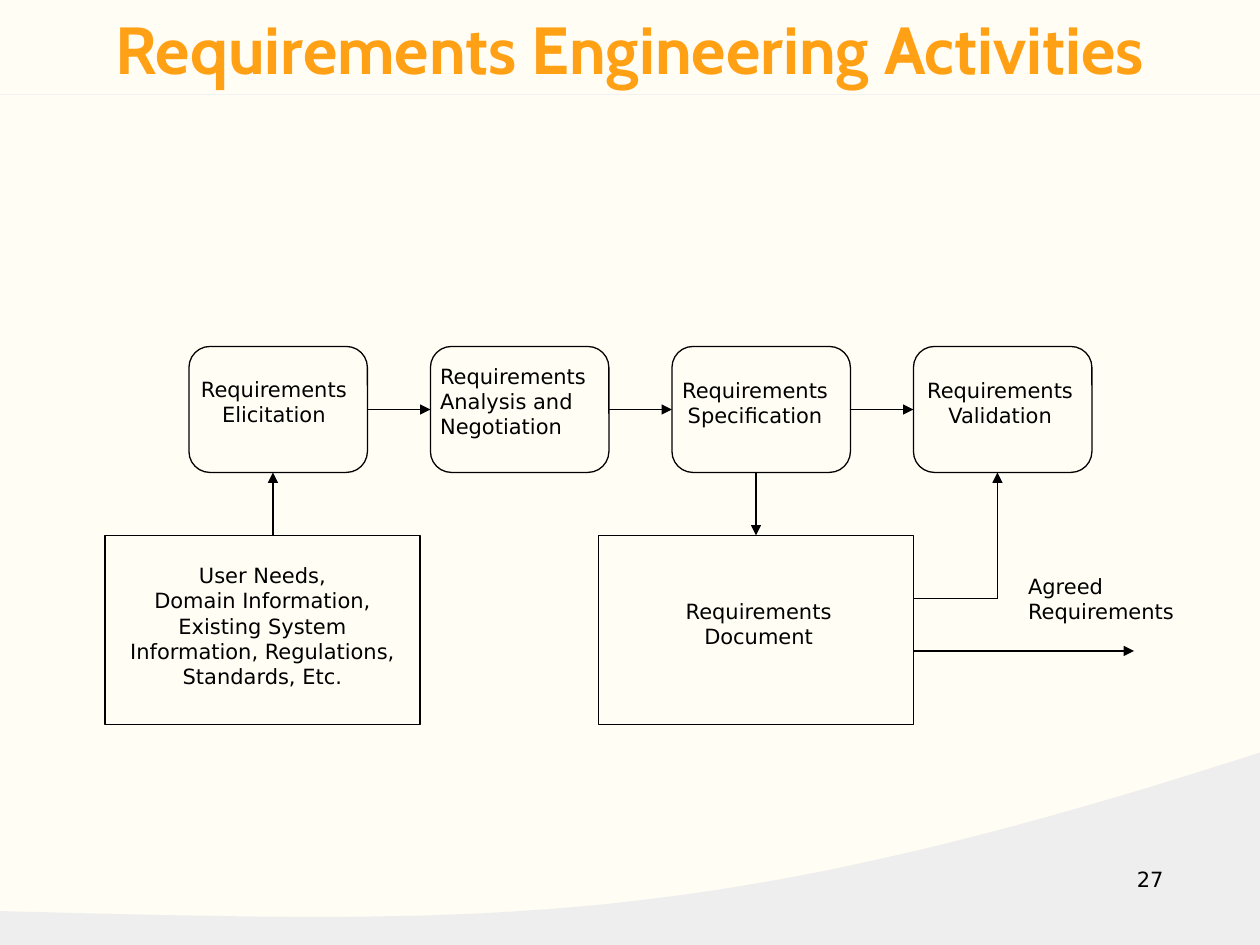
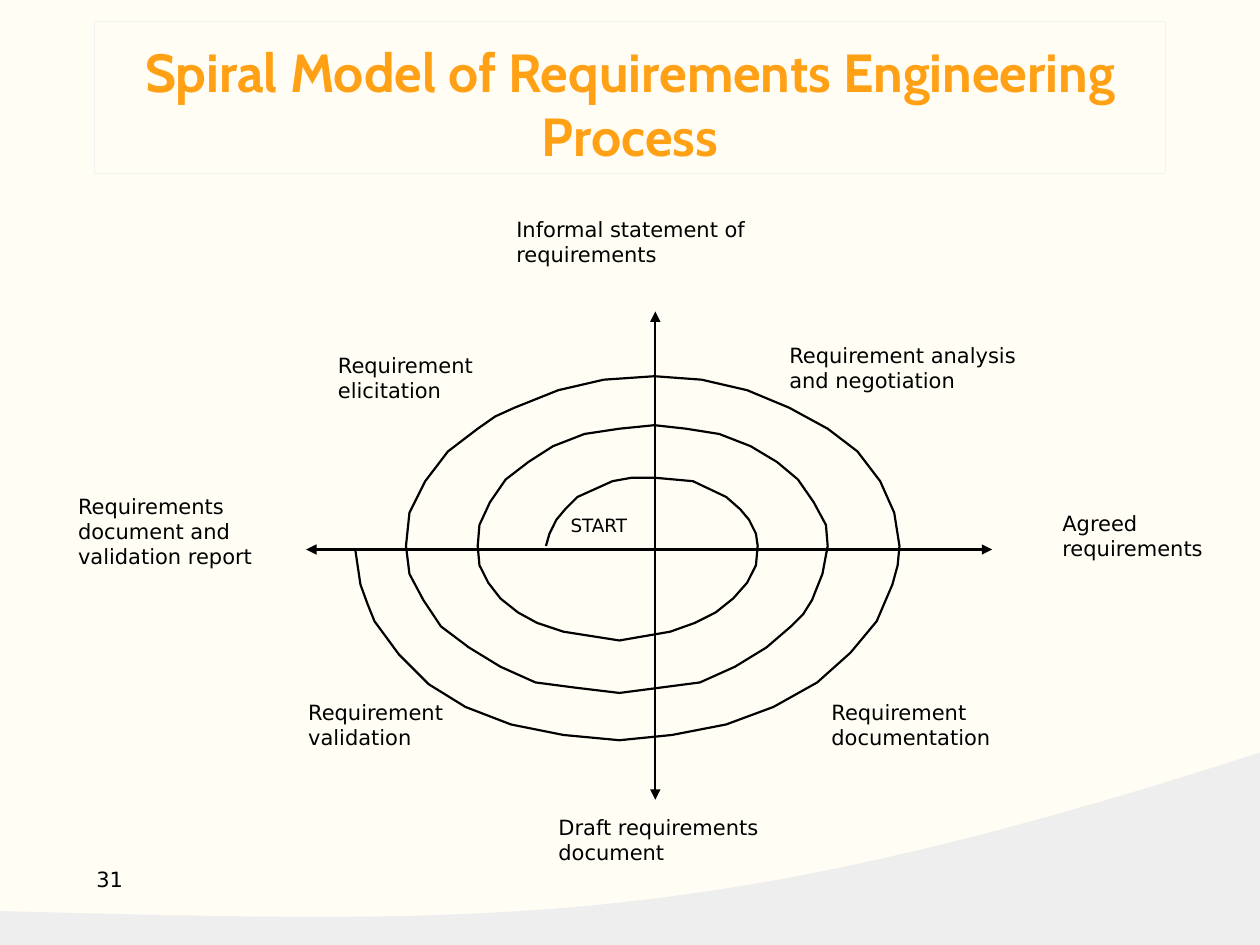
"""Build two slides on requirements engineering: its activities and its spiral model."""

from dataclasses import dataclass

from lxml.etree import SubElement
from pptx import Presentation
from pptx.dml.color import RGBColor as Color
from pptx.enum.shapes import MSO_CONNECTOR as Connector, MSO_SHAPE as Preset
from pptx.enum.text import MSO_ANCHOR as Anchor, PP_ALIGN as Align
from pptx.oxml.ns import qn
from pptx.util import Pt


@dataclass(frozen=True)
class Theme:
    background: Color = Color(0xFF, 0xFD, 0xF4)
    wave: Color = Color(0xEE, 0xEE, 0xEE)
    frame: Color = Color(0xF2, 0xF2, 0xF2)
    title: Color = Color(0xFF, 0xA0, 0x15)
    ink: Color = Color(0, 0, 0)
    title_font: str = "Cabin"
    body_font: str = "DejaVu Sans"
    body_size: float = 12
    start_size: float = 10.5
    frame_width: float = 0.5
    thin: float = 0.75
    medium: float = 1
    thick: float = 1.25


theme = Theme()


def write(slide, text, left, top, width, height, *, size=theme.body_size,
          font=theme.body_font, color=theme.ink, bold=False, align=Align.LEFT,
          anchor=Anchor.TOP, wrap=False, inset=7.2):
    """Add a text box with one paragraph for each line of text."""
    box = slide.shapes.add_textbox(Pt(left), Pt(top), Pt(width), Pt(height))
    frame = box.text_frame
    frame.word_wrap = wrap
    frame.vertical_anchor = anchor
    frame.margin_left = frame.margin_right = Pt(inset)
    frame.margin_top = frame.margin_bottom = Pt(3.6)
    for index, line in enumerate(text.split("\n")):
        paragraph = frame.paragraphs[0] if index == 0 else frame.add_paragraph()
        paragraph.alignment = align
        run = paragraph.add_run()
        run.text = line
        run.font.name = font
        run.font.size = Pt(size)
        run.font.bold = bold
        run.font.color.rgb = color
    return box


def connect(slide, start, end, width=theme.thin, heads=("tailEnd",)):
    """Add a straight line with triangles at the named ends."""
    line = slide.shapes.add_connector(
        Connector.STRAIGHT, *(Pt(value) for value in (*start, *end)))
    line.line.color.rgb = theme.ink
    line.line.width = Pt(width)
    properties = line.element.spPr
    outline = properties.find(qn("a:ln"))
    for head in heads:
        SubElement(outline, qn(f"a:{head}"), type="triangle")
    SubElement(properties, qn("a:effectLst"))
    return line


presentation = Presentation()
presentation.slide_width = Pt(720)
presentation.slide_height = Pt(540)
master = presentation.slide_master
master.background.fill.solid()
master.background.fill.fore_color.rgb = theme.background

slides = []
for title, title_box, title_size, number, number_left, number_align in (
    ("Requirements Engineering Activities", (-0.5, -3.5, 721, 57.5), 38,
     "27", 516, Align.RIGHT),
    ("Spiral Model of Requirements Engineering Process", (54, 12, 612, 87), 30.6,
     "31", 48, Align.LEFT),
):
    slide = presentation.slides.add_slide(presentation.slide_layouts[6])
    heading = write(slide, title, *title_box, size=title_size, font=theme.title_font,
                    color=theme.title, bold=True, align=Align.CENTER,
                    anchor=Anchor.BOTTOM, wrap=True, inset=3.6)
    heading.line.color.rgb = theme.frame
    heading.line.width = Pt(theme.frame_width)
    write(slide, number, number_left, 491.5, 156, 37, align=number_align, wrap=True)
    slides.append(slide)
activities, spiral_model = slides

wave_controls = ((7200, 4300), (4025, 5328), (2815, 5278), (0, 5206))
wave_points = []
for step in range(61):
    t = step / 60
    weights = ((1 - t) ** 3, 3 * t * (1 - t) ** 2, 3 * t ** 2 * (1 - t), t ** 3)
    wave_points.append(tuple(
        sum(weight * control[axis] for weight, control in zip(weights, wave_controls))
        for axis in (0, 1)))
builder = activities.shapes.build_freeform(0, 5400, scale=Pt(0.1))
builder.add_line_segments([(7200, 5400), *wave_points], close=True)
wave = builder.convert_to_shape()
wave.shadow.inherit = False
wave.fill.solid()
wave.fill.fore_color.rgb = theme.wave
wave.line.fill.background()
master.shapes.element.append(wave.element)

stage_left, stage_step = 108, 138
boxes = []
for preset, left, top, width, height in (
    *((Preset.ROUNDED_RECTANGLE, stage_left + stage_step * index, 198, 102, 72)
      for index in range(4)),
    (Preset.RECTANGLE, 60, 306, 180, 108),
    (Preset.RECTANGLE, 342, 306, 180, 108),
):
    box = activities.shapes.add_shape(preset, Pt(left), Pt(top), Pt(width), Pt(height))
    box.shadow.inherit = False
    box.fill.background()
    box.line.color.rgb = theme.ink
    box.line.width = Pt(theme.thin)
    boxes.append(box)
*stages, user_needs, document = boxes

for text, left, top, width, height, align in (
    ("Requirements\nElicitation", 107, 211.5, 99, 37, Align.CENTER),
    ("Requirements\nAnalysis and\nNegotiation", 244.4, 204, 99, 51, Align.LEFT),
    ("Requirements\nSpecification", 382, 212, 99, 37, Align.CENTER),
    ("Requirements\nValidation", 522, 212, 99, 37, Align.CENTER),
    ("User Needs,\nDomain Information,\nExisting System\n"
     "Information, Regulations,\nStandards, Etc.", 60, 318, 180, 80, Align.CENTER),
    ("Requirements\nDocument", 384, 338.5, 99, 37, Align.CENTER),
    ("Agreed\nRequirements", 580.4, 324, 99, 37, Align.LEFT),
):
    write(activities, text, left, top, width, height, align=align)

for index, (stage, following) in enumerate(zip(stages, stages[1:])):
    right = stage_left + stage_step * index + 102
    arrow = connect(activities, (right, 234), (right + 36, 234), theme.medium)
    arrow.begin_connect(stage, 3)
    arrow.end_connect(following, 1)

connect(activities, (156, 306), (156, 270))
connect(activities, (432, 270), (432, 306)).end_connect(document, 0)
connect(activities, (522, 372), (648, 372))
connect(activities, (522, 342), (570, 342), heads=())
connect(activities, (570, 342), (570, 270))

for start, end in (((175, 314), (567, 314)), ((374.5, 178), (374.5, 457))):
    connect(spiral_model, start, end, theme.thick, ("headEnd", "tailEnd"))

inner_turn = [
    (312, 312), (314, 305), (318, 297), (323, 291), (330, 284), (350, 275), (361, 273),
    (374, 273), (396, 275), (415, 284), (423, 291), (428, 297), (432, 305), (433, 312),
    (432, 323), (427, 333), (419, 342), (409, 350), (397, 356), (383, 361), (354, 366),
    (322, 361), (307, 356), (296, 350), (286, 342), (279, 333), (274, 323), (273, 312),
]
middle_turn = [
    (274, 300), (280, 287), (289, 274), (302, 264), (316, 255), (334, 248), (354, 245),
    (374, 243), (392, 245), (411, 248), (429, 255), (444, 264), (456, 274), (465, 287),
    (472, 300), (473, 312), (470, 328), (464, 343), (459, 351), (452, 358), (438, 370),
    (420, 381), (400, 390), (377, 393), (354, 396), (329, 393), (306, 390), (286, 381),
    (268, 370), (252, 358), (242, 343), (234, 328), (232, 312),
]
outer_turn = [
    (234, 293), (243, 275), (256, 258), (273, 245), (283, 238), (294, 233), (319, 223),
    (345, 217), (374, 215), (401, 217), (427, 223), (451, 233), (473, 245), (490, 258),
    (503, 275), (511, 293), (514, 312), (513, 323), (510, 334), (501, 355), (486, 373),
    (467, 390), (442, 404), (415, 414), (384, 420), (354, 423), (322, 420), (292, 414),
    (266, 404), (245, 391), (228, 374), (214, 355), (210, 345), (206, 334), (203, 314),
]
builder = spiral_model.shapes.build_freeform(*inner_turn[0], scale=Pt(1))
builder.add_line_segments(inner_turn[1:] + middle_turn + outer_turn, close=False)
spiral = builder.convert_to_shape()
spiral.shadow.inherit = False
spiral.fill.background()
spiral.line.color.rgb = theme.ink
spiral.line.width = Pt(theme.thick)

for text, left, top, width, height in (
    ("Informal statement of\nrequirements", 288, 120, 150, 37),
    ("Draft requirements\ndocument", 312, 462, 134, 37),
    ("Requirements\ndocument and\nvalidation report", 37.5, 278.5, 120, 51),
    ("Agreed\nrequirements", 600, 288, 100, 37),
    ("Requirement\nelicitation", 186, 198, 96, 37),
    ("Requirement analysis\nand negotiation", 444, 192, 150, 37),
    ("Requirement\nvalidation", 169, 396, 96, 37),
    ("Requirement\ndocumentation", 468, 396, 112, 37),
):
    write(spiral_model, text, left, top, width, height)
write(spiral_model, "START", 319, 290, 54, 21, size=theme.start_size)

presentation.save("out.pptx")
